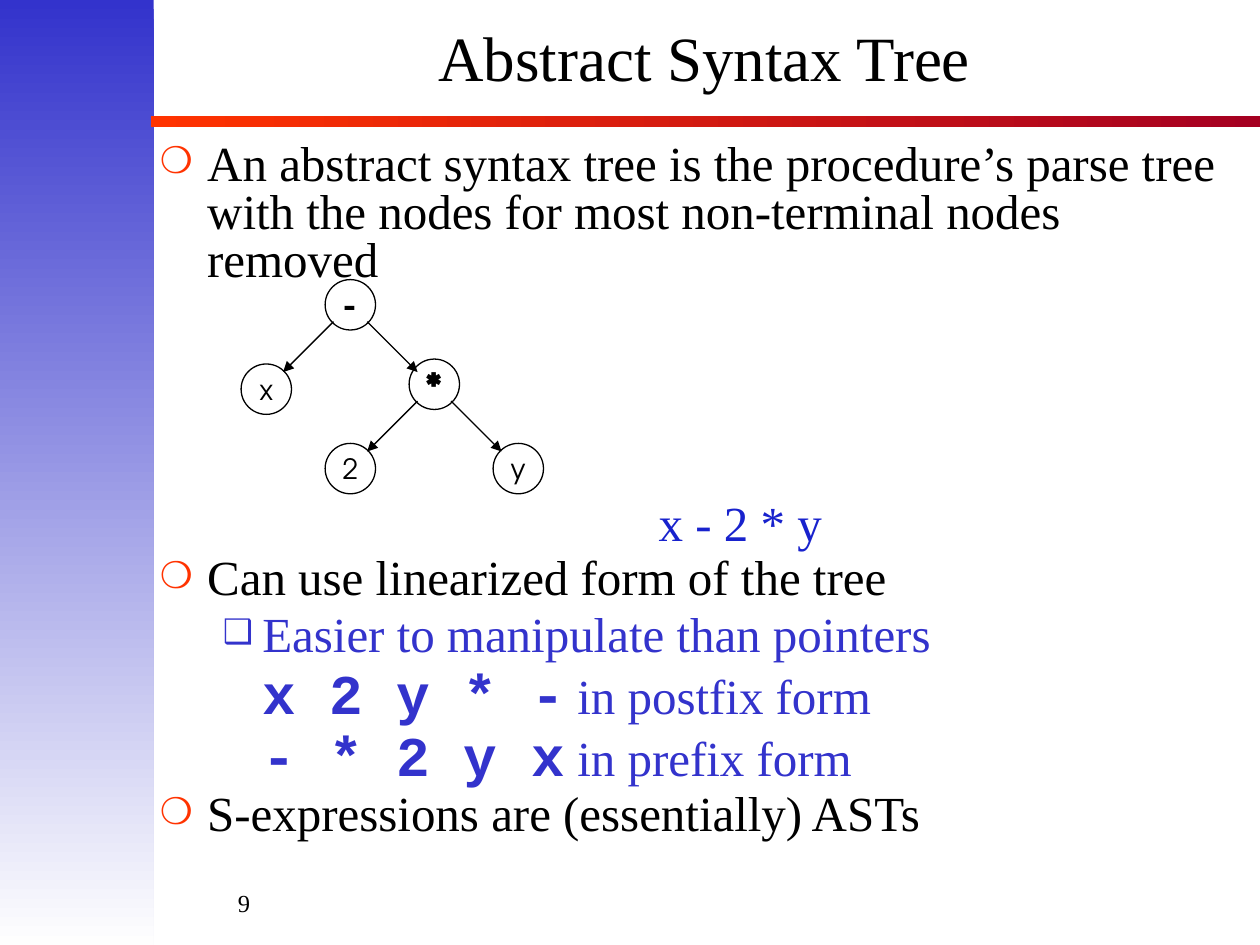
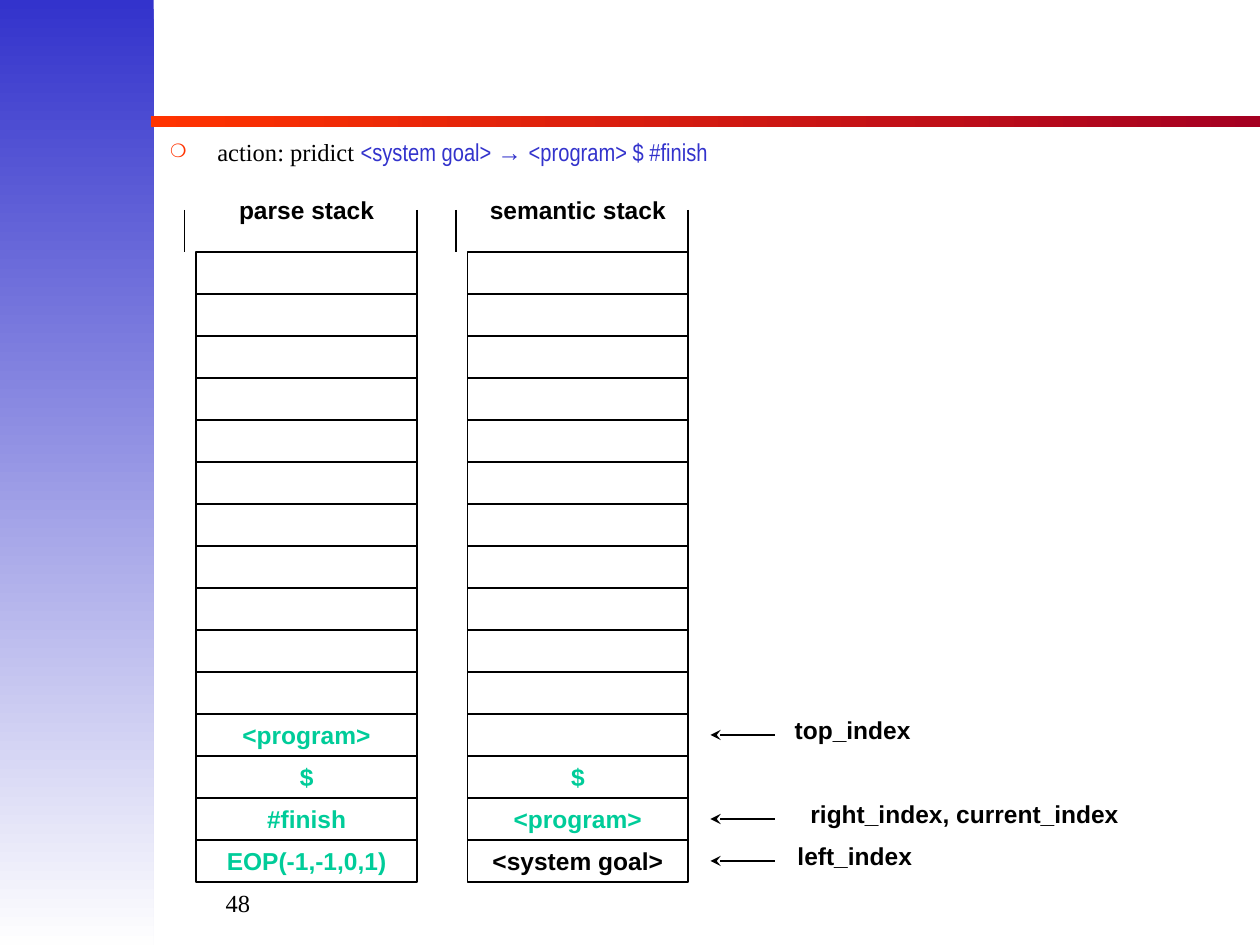
import lxml.etree
import pptx
import pptx.dml.color
import pptx.enum.shapes
import pptx.enum.text
import pptx.oxml
import pptx.oxml.ns
import pptx.util

Pt = pptx.util.Pt
RGBColor = pptx.dml.color.RGBColor
MSO_SHAPE = pptx.enum.shapes.MSO_SHAPE
PP_ALIGN = pptx.enum.text.PP_ALIGN
MSO_ANCHOR = pptx.enum.text.MSO_ANCHOR
MSO_AUTO_SIZE = pptx.enum.text.MSO_AUTO_SIZE
qn = pptx.oxml.ns.qn

BLACK = RGBColor(0x00, 0x00, 0x00)
BLUE = RGBColor(0x33, 0x33, 0xCC)
EXPRESSION_BLUE = RGBColor(0x18, 0x22, 0xCD)
GREEN = RGBColor(0x00, 0xCC, 0x99)
ORANGE = RGBColor(0xFF, 0x33, 0x00)
CRIMSON = RGBColor(0xA5, 0x00, 0x21)
NEAR_WHITE = RGBColor(0xFE, 0xFE, 0xFE)

SERIF, SANS, NARROW = "Times New Roman", "Arial", "Arial Narrow"
MONO, NODE_FONT = "Courier New", "TeX Gyre Adventor"

CIRCLE = ("❍", ORANGE, 75)
SQUARE = ("❑", BLUE, 69)


def add_run(p, text, size=14, font=SERIF, color=BLACK, bold=False):
    r = p.add_run()
    r.text = text
    r.font.size = Pt(size)
    r.font.name = font
    r.font.color.rgb = color
    r.font.bold = bold


def sub(parent, tag, **attrs):
    """Append a DrawingML child element."""
    return lxml.etree.SubElement(parent, qn(tag), {k: str(v) for k, v in attrs.items()})


def set_list_style(p, left, hanging=0, bullet=None, tab=None):
    """Set indents, bullet and tab stop of a paragraph, lengths in points."""
    pPr = p._p.get_or_add_pPr()
    pPr.set("marL", str(Pt(left)))
    pPr.set("indent", str(Pt(-hanging)))
    if bullet:
        char, color, percent = bullet
        sub(sub(pPr, "a:buClr"), "a:srgbClr", val=color)
        sub(pPr, "a:buSzPct", val=percent * 1000)
        sub(pPr, "a:buChar", char=char)
    else:
        sub(pPr, "a:buNone")
    if tab:
        sub(sub(pPr, "a:tabLst"), "a:tab", pos=Pt(tab), algn="l")


class Deck:
    """Holds the presentation, its style and the current slide."""

    def __init__(self):
        self.prs = pptx.Presentation()
        self.prs.slide_width, self.prs.slide_height = Pt(720), Pt(540)
        self.s = None

    def new_slide(self, number, title=None):
        first = self.s is None
        self.s = self.prs.slides.add_slide(self.prs.slide_layouts[1])
        if first:
            self.master_band(86.4, 66.2, 633.6, 6.5, ORANGE, CRIMSON, 0, 101)
            self.master_band(0, 0, 87.8, 540, BLUE, NEAR_WHITE, 270, 102)
        sp = self.s.shapes.title
        if title:
            self.place(sp, 85, 12.2, 635, 48.2)
            sp.text_frame.vertical_anchor = MSO_ANCHOR.MIDDLE
            p = sp.text_frame.paragraphs[0]
            p.alignment = PP_ALIGN.CENTER
            p.line_spacing = 0.8
            add_run(p, title, size=36)
        else:
            sp.element.getparent().remove(sp.element)
        self.label(str(number), 0, 504, 150, 36, align=PP_ALIGN.RIGHT)

    def master_band(self, x, y, w, h, start, end, angle, shape_id):
        """Draw a gradient band and move it to the back of the master."""
        sp = self.shape(MSO_SHAPE.RECTANGLE, x, y, w, h, line=None)
        sp.fill.gradient()
        sp.fill.gradient_angle = angle
        for stop, color in zip(sp.fill.gradient_stops, (start, end)):
            stop.color.rgb = color
        sp.element.find(".//" + qn("p:cNvPr")).set("id", str(shape_id))
        self.prs.slide_master.shapes.element.insert(2, sp.element)

    def place(self, sp, x, y, w, h):
        sp.left, sp.top, sp.width, sp.height = Pt(x), Pt(y), Pt(w), Pt(h)
        sp.text_frame.auto_size = MSO_AUTO_SIZE.NONE

    def body(self, x, y, w, h):
        sp = self.s.placeholders[1]
        self.place(sp, x, y, w, h)
        sp.text_frame.vertical_anchor = MSO_ANCHOR.TOP
        return sp.text_frame

    def item(self, tf, *runs, level=0, before=3.5, spacing=0.82, **style):
        """Add a list paragraph from (text, format) pairs."""
        p = tf.paragraphs[0]
        if p.runs:
            p = tf.add_paragraph()
        p.level = level
        p.line_spacing = spacing
        p.space_before = Pt(before)
        set_list_style(p, **style)
        for text, fmt in runs:
            add_run(p, text, **fmt)

    def shape(self, kind, x, y, w, h, line=1.0):
        sp = self.s.shapes.add_shape(kind, Pt(x), Pt(y), Pt(w), Pt(h))
        sp.shadow.inherit = False
        sp.fill.background()
        if line:
            sp.line.color.rgb = BLACK
            sp.line.width = Pt(line)
        else:
            sp.line.fill.background()
        return sp

    def box(self, kind, x, y, w, h, text="", line=1.0, **fmt):
        """Add an outlined shape with centred text."""
        sp = self.shape(kind, x, y, w, h, line)
        if text:
            tf = sp.text_frame
            tf.word_wrap = False
            tf.vertical_anchor = MSO_ANCHOR.MIDDLE
            tf.paragraphs[0].alignment = PP_ALIGN.CENTER
            add_run(tf.paragraphs[0], text, **fmt)

    def label(self, text, x, y, w, h=24, align=PP_ALIGN.LEFT, **fmt):
        tf = self.s.shapes.add_textbox(Pt(x), Pt(y), Pt(w), Pt(h)).text_frame
        tf.word_wrap = True
        tf.paragraphs[0].alignment = align
        add_run(tf.paragraphs[0], text, **fmt)

    def line(self, x1, y1, x2, y2, width=1.0, head=None):
        c = self.s.shapes.add_connector(
            pptx.enum.shapes.MSO_CONNECTOR.STRAIGHT, Pt(x1), Pt(y1), Pt(x2), Pt(y2))
        c.line.color.rgb = BLACK
        c.line.width = Pt(width)
        if head:
            sub(c.line._get_or_add_ln(), "a:tailEnd", type=head)
        sub(c.element.spPr, "a:effectLst")


def syntax_tree_slide(deck):
    deck.new_slide(9, "Abstract Syntax Tree")
    tf = deck.body(84.2, 77.8, 617.8, 424.8)
    black, blue = {"size": 28}, {"size": 28, "color": BLUE}
    code = {"size": 32, "font": MONO, "color": BLUE, "bold": True}
    top = {"left": 27, "hanging": 27, "bullet": CIRCLE}
    nested = {"level": 1, "before": 7, "spacing": 0.75, "left": 58.5}

    deck.item(tf, ("An abstract syntax tree is the procedure’s parse tree with the "
                   "nodes for most non-terminal nodes removed", black),
              **{**top, "before": 0})
    deck.item(tf, ("x - 2 * y", {"size": 28, "color": EXPRESSION_BLUE}),
              before=123, left=285)
    deck.item(tf, ("Can use linearized form of the tree", black), **top)
    deck.item(tf, ("Easier to manipulate than pointers", blue),
              hanging=22.5, bullet=SQUARE, **nested)
    for expression, form in (("x 2 y * -", "postfix"), ("- * 2 y x", "prefix")):
        deck.item(tf, (expression, code), (f"\tin {form} form", blue), tab=216, **nested)
    deck.item(tf, ("S-expressions are (essentially) ASTs", black), **top)

    root_x, root_y, step, d = 200.2, 174.2, 48, 28.8
    nodes = [  # text, column, centre y, size, bold
        ("-", 0, root_y, 20, True),
        ("x", -1, 222.4, 16, False),
        ("2", 0, 267.8, 16, False),
        ("y", 2, 267.8, 16, False),
        ("*", 1, 219.6, 20, True),
    ]
    for text, column, cy, size, bold in nodes:
        deck.box(MSO_SHAPE.OVAL, root_x + column * step - d / 2, cy - d / 2, d, d, text,
                 line=0.75, size=size, font=NODE_FONT, bold=bold)
    near, far = 9.6, 38.4
    for cx, cy in ((root_x + step, 219.6), (root_x, root_y)):
        for side in (-1, 1):
            deck.line(cx + side * near, cy + near, cx + side * far, cy + far,
                      width=0.75, head="triangle")


def stacks_slide(deck):
    deck.new_slide(48)
    tf = deck.body(90, 77.8, 630, 419.8)
    narrow = {"font": NARROW, "color": BLUE}
    deck.item(tf, ("action: pridict ", {}), ("<system goal> ", narrow),
              ("→ ", {"font": SANS, "color": BLUE}), ("<program> $ #finish", narrow),
              before=0, spacing=0.8, left=27, hanging=27, bullet=CIRCLE)

    bold = {"font": SANS, "bold": True}
    top, row_h, cell_w, rows = 144, 24, 126, 15
    stacks = [
        ("parse stack", 112.2, ["<program>", "$", "#finish", "EOP(-1,-1,0,1)"]),
        ("semantic stack", 267.2, ["$", "<program>", "<system goal>"]),
    ]
    for name, x, entries in stacks:
        cells = [""] * (rows - len(entries)) + entries
        for i, text in enumerate(cells):
            color = BLACK if text == "<system goal>" else GREEN
            deck.box(MSO_SHAPE.RECTANGLE, x, top + i * row_h, cell_w, row_h, text,
                     color=color, **bold)
        for side_x in (x - 6.8, x + cell_w):
            deck.line(side_x, top - row_h, side_x, top)
        deck.label(name, x, 108, cell_w, align=PP_ALIGN.CENTER, **bold)

    pointers = [("top_index", 11, 447), ("right_index, current_index", 13, 456),
                ("left_index", 14, 448.6)]
    for text, row, x in pointers:
        cy = top + (row + 0.5) * row_h
        deck.line(442.8, cy, 406, cy, head="stealth")
        deck.label(text, x, cy - 15, 234, **bold)


def main():
    deck = Deck()
    syntax_tree_slide(deck)
    stacks_slide(deck)
    deck.prs.save("out.pptx")


if __name__ == "__main__":
    main()
